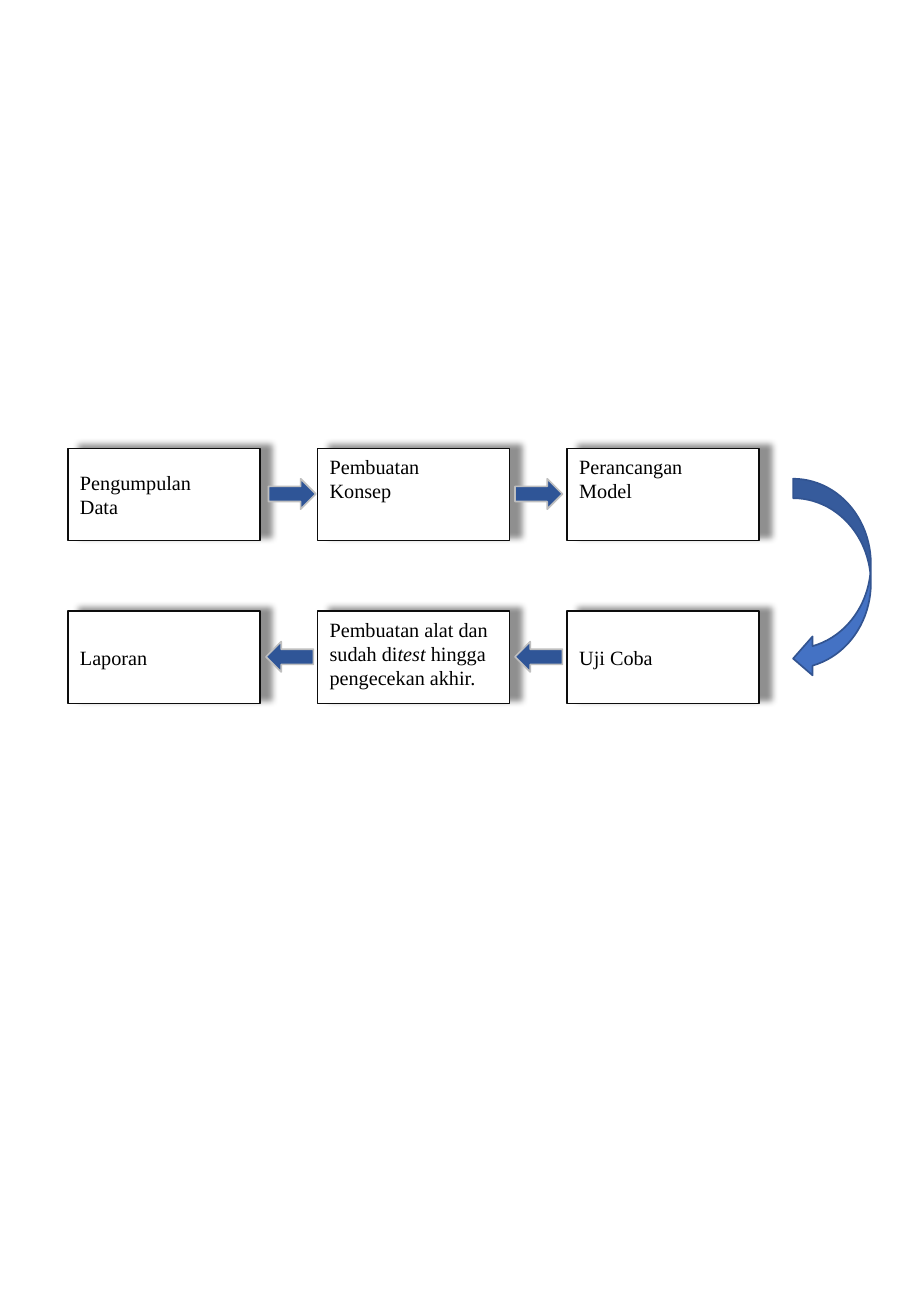
import pptx
import pptx.util
import pptx.dml.color
import pptx.enum.shapes
import pptx.enum.text
import lxml.etree
from pptx.util import Inches

SHAPE = pptx.enum.shapes.MSO_SHAPE
ANCHOR = pptx.enum.text.MSO_ANCHOR
ALIGN = pptx.enum.text.PP_ALIGN
COLORS = {"box": "FFFFFF", "box_line": "0D0D0D", "text": "000000", "shadow": "000000",
          "arrow": "2F5597", "arrow_line": "BFBFBF", "curve": "4472C4", "curve_line": "325491"}
A = "http://schemas.openxmlformats.org/drawingml/2006/main"
SHADOW = f"""<a:effectLst xmlns:a="{A}">
  <a:outerShdw blurRad="50800" dist="88900" dir="20580000" algn="ctr" rotWithShape="0">
    <a:srgbClr val="{COLORS['shadow']}"><a:alpha val="43000"/></a:srgbClr>
  </a:outerShdw>
</a:effectLst>"""


def rgb(name):
    return pptx.dml.color.RGBColor.from_string(COLORS[name])


def add_shape(kind, x, y, w, h, color):
    """Add a shape without shadow, filled with a colour and outlined in its line colour."""
    sp = s.shapes.add_shape(kind, Inches(x), Inches(y), Inches(w), Inches(h))
    sp.shadow.inherit = False
    sp.fill.solid()
    sp.fill.fore_color.rgb = rgb(color)
    sp.line.color.rgb = rgb(color + "_line")
    sp.line.width = pptx.util.Pt(1)
    return sp


prs = pptx.Presentation()
prs.slide_width, prs.slide_height = Inches(7.5), Inches(10.83)
s = prs.slides.add_slide(prs.slide_layouts[6])

# Process steps: each paragraph is a list of (text, italic) runs
LEFT, COL_STEP = 0.56, 2.055
ROWS = [3.69, 5.03]
steps = [
    (0, 0, ANCHOR.MIDDLE, [[("Pengumpulan", False)], [("Data", False)]]),
    (1, 0, ANCHOR.TOP, [[("Pembuatan", False)], [("Konsep", False)]]),
    (2, 0, ANCHOR.TOP, [[("Perancangan", False)], [("Model", False)]]),
    (2, 1, ANCHOR.MIDDLE, [[("Uji Coba", False)]]),
    (1, 1, ANCHOR.TOP, [[("Pembuatan alat dan sudah di", False), ("test ", True),
                         ("hingga pengecekan akhir.", False)]]),
    (0, 1, ANCHOR.MIDDLE, [[("Laporan", False)]]),
]
for col, row, anchor, paragraphs in steps:
    sp = add_shape(SHAPE.RECTANGLE, LEFT + col * COL_STEP, ROWS[row], 1.58, 0.76, "box")
    effects = sp._element.spPr.find(f"{{{A}}}effectLst")
    effects.getparent().replace(effects, lxml.etree.fromstring(SHADOW))
    tf = sp.text_frame
    tf.word_wrap = True
    tf.vertical_anchor = anchor
    for i, runs in enumerate(paragraphs):
        p = tf.paragraphs[0] if i == 0 else tf.add_paragraph()
        p.alignment = ALIGN.LEFT
        for text, italic in runs:
            r = p.add_run()
            r.text = text
            r.font.name = "Times New Roman"
            r.font.size = pptx.util.Pt(12)
            r.font.italic = italic
            r.font.color.rgb = rgb("text")

# Arrows between the steps: right along the top row, left along the bottom row
for x, row, rotation in [(2.21, 0, 0), (4.24, 0, 0), (4.24, 1, 180), (2.19, 1, 180)]:
    sp = add_shape(SHAPE.RIGHT_ARROW, x, ROWS[row] + 0.25, 0.39, 0.25, "arrow")
    sp.rotation = rotation

# Turn from the top row to the bottom row
add_shape(SHAPE.CURVED_LEFT_ARROW, 6.53, ROWS[0] + 0.25, 0.64, 1.64, "curve")

prs.save("out.pptx")
